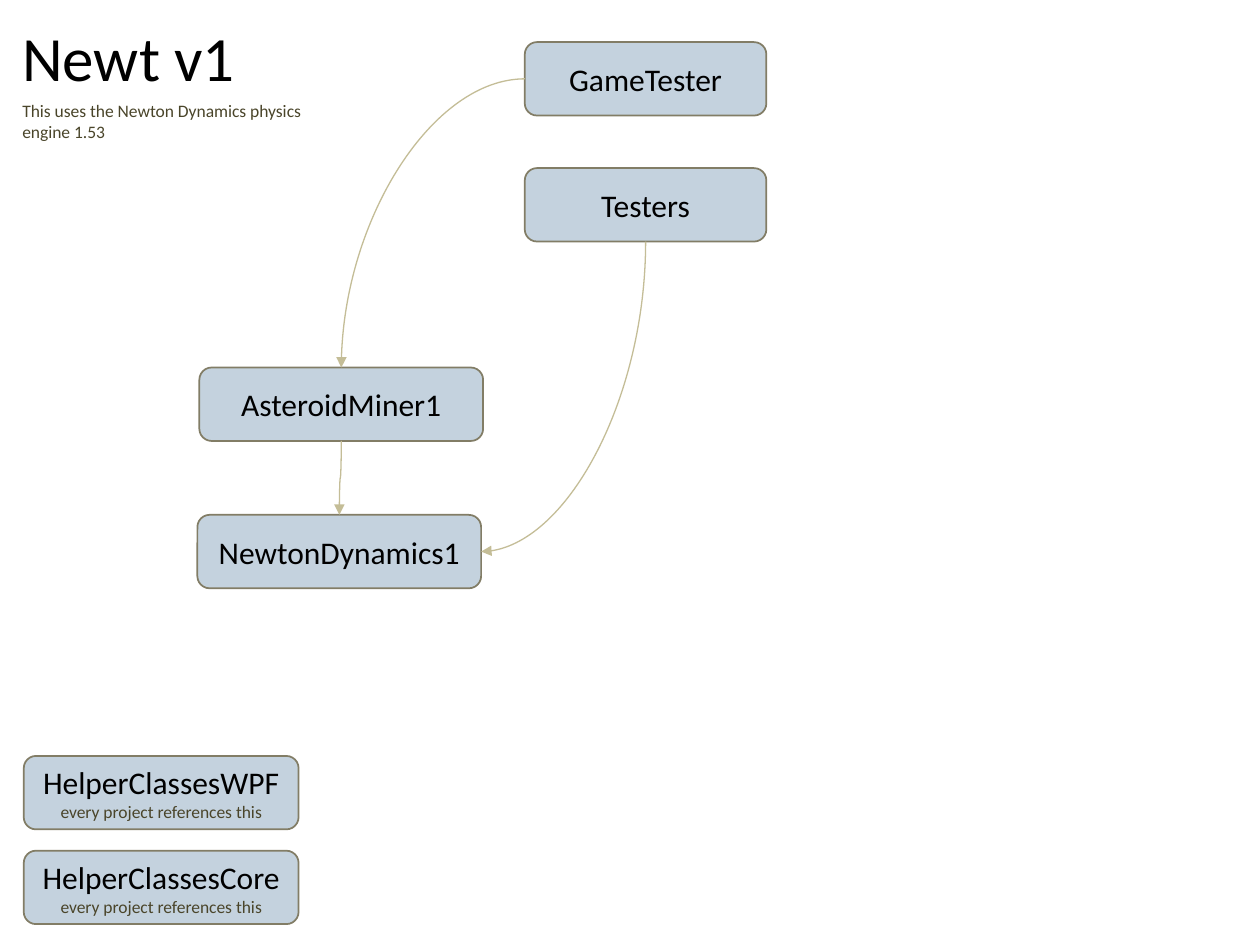
from lxml import etree
from pptx import Presentation
from pptx.dml.color import RGBColor
from pptx.enum import shapes, text
from pptx.oxml import ns
from pptx.util import Cm, Pt

BLACK = RGBColor(0x00, 0x00, 0x00)
OLIVE = RGBColor(0x4A, 0x45, 0x2A)
STEEL = RGBColor(0xC4, 0xD2, 0xDE)
BORDER = RGBColor(0x82, 0x7D, 0x66)
TAN = RGBColor(0xC4, 0xBD, 0x97)
TOP, LEFT, BOTTOM, RIGHT = range(4)
PROJECT_HEIGHT = Cm(1.48)
REFERENCE_NOTE = "every project references this"


def write_lines(frame, lines, align):
    for number, (words, size, color) in enumerate(lines):
        paragraph = frame.add_paragraph() if number else frame.paragraphs[0]
        paragraph.alignment = align
        run = paragraph.add_run()
        run.text = words
        run.font.name = "Calibri"
        run.font.size = Pt(size)
        run.font.color.rgb = color


deck = Presentation()
deck.slide_width, deck.slide_height = Cm(25.4), Cm(19.05)
slide = deck.slides.add_slide(deck.slide_layouts[6])

headings = [
    (0.25, 4.83, 1.8, [("Newt v1", 36, BLACK)]),
    (1.9, 6.2, 1.12, [("This uses the Newton Dynamics physics", 10, OLIVE),
                      ("engine 1.53", 10, OLIVE)]),
]
for top, width, height, lines in headings:
    heading = slide.shapes.add_textbox(Cm(0.2), Cm(top), Cm(width), Cm(height))
    heading.text_frame.word_wrap = False
    heading.text_frame.auto_size = text.MSO_AUTO_SIZE.SHAPE_TO_FIT_TEXT
    write_lines(heading.text_frame, lines, text.PP_ALIGN.LEFT)

projects = {}
for name, left, top, width, note in [
    ("GameTester", 10.58, 0.85, 4.87, None),
    ("NewtonDynamics1", 3.98, 10.38, 5.72, None),
    ("AsteroidMiner1", 4.02, 7.41, 5.72, None),
    ("Testers", 10.58, 3.39, 4.87, None),
    ("HelperClassesCore", 0.48, 17.15, 5.54, REFERENCE_NOTE),
    ("HelperClassesWPF", 0.48, 15.24, 5.54, REFERENCE_NOTE),
]:
    project = slide.shapes.add_shape(
        shapes.MSO_SHAPE.ROUNDED_RECTANGLE,
        Cm(left), Cm(top), Cm(width), PROJECT_HEIGHT)
    project.shadow.inherit = False
    project.fill.solid()
    project.fill.fore_color.rgb = STEEL
    project.line.color.rgb = BORDER
    project.line.width = Pt(1)
    project.text_frame.word_wrap = True
    project.text_frame.vertical_anchor = text.MSO_ANCHOR.MIDDLE
    lines = [(name, 18, BLACK)]
    if note:
        lines.append((note, 10, OLIVE))
    write_lines(project.text_frame, lines, text.PP_ALIGN.CENTER)
    projects[name] = project

for user, user_side, used, used_side, preset, turn in [
    ("AsteroidMiner1", BOTTOM, "NewtonDynamics1", TOP, "curvedConnector3", 90),
    ("Testers", BOTTOM, "NewtonDynamics1", RIGHT, "curvedConnector2", 90),
    ("GameTester", LEFT, "AsteroidMiner1", TOP, "curvedConnector2", 180),
]:
    reference = slide.shapes.add_connector(shapes.MSO_CONNECTOR.CURVE, 0, 0, 0, 0)
    reference.begin_connect(projects[user], user_side)
    reference.end_connect(projects[used], used_side)
    center_x = (reference.begin_x + reference.end_x) // 2
    center_y = (reference.begin_y + reference.end_y) // 2
    width, height = reference.width, reference.height
    if turn == 90:
        width, height = height, width
    reference.left, reference.top = center_x - width // 2, center_y - height // 2
    reference.width, reference.height = width, height
    properties = reference._element.spPr
    frame = properties.find(ns.qn("a:xfrm"))
    frame.attrib.clear()
    frame.set("rot", str(turn * 60000))
    if turn == 180:
        frame.set("flipV", "1")
    properties.find(ns.qn("a:prstGeom")).set("prst", preset)
    reference.line.color.rgb = TAN
    reference.line.width = Pt(0.75)
    etree.SubElement(reference.line._get_or_add_ln(), ns.qn("a:tailEnd"), type="triangle")
    etree.SubElement(properties, ns.qn("a:effectLst"))

deck.save("out.pptx")
